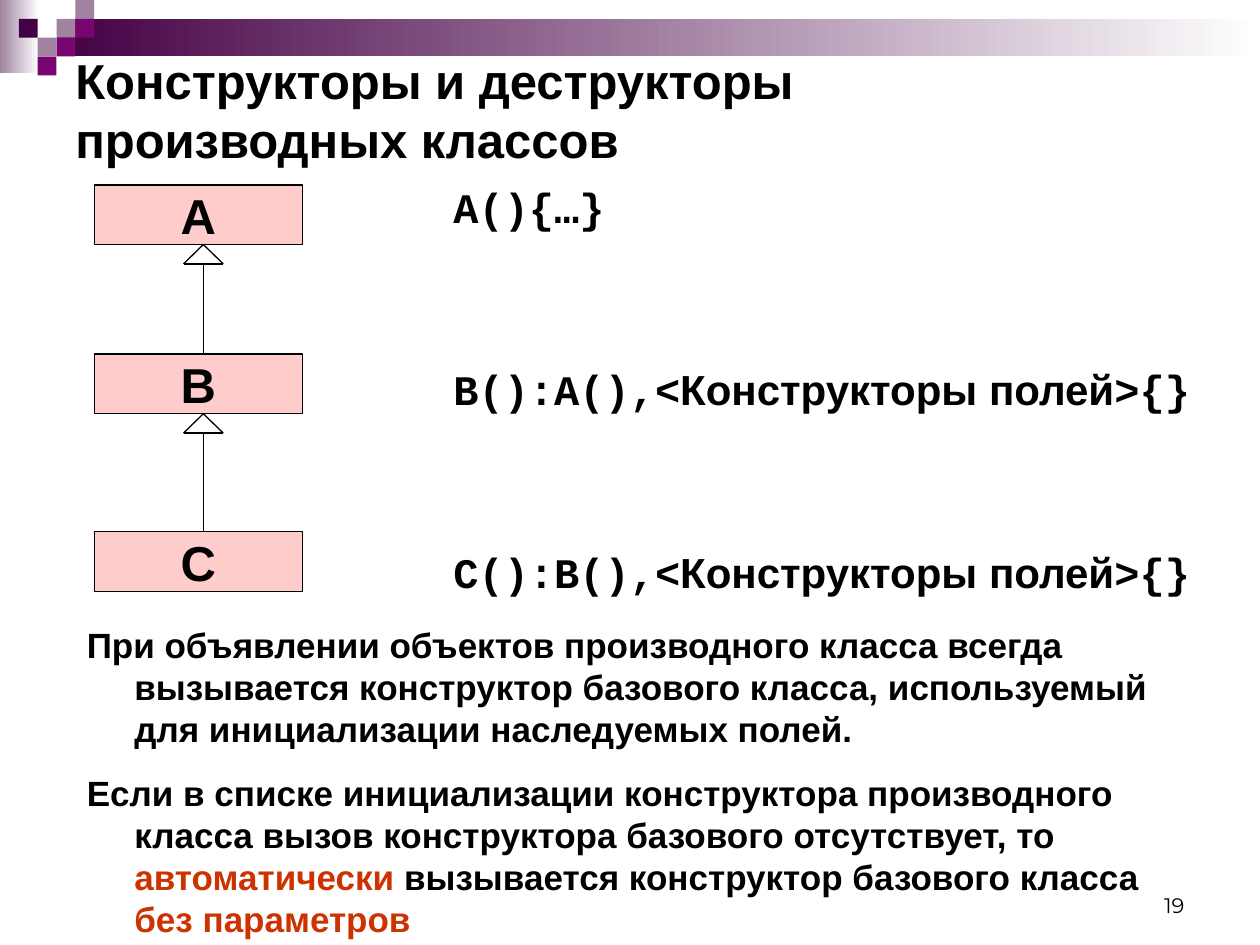
from lxml.etree import SubElement
from pptx import Presentation
from pptx.dml.color import RGBColor
from pptx.enum.shapes import MSO_CONNECTOR, MSO_SHAPE
from pptx.enum.text import MSO_ANCHOR, PP_ALIGN
from pptx.oxml.ns import qn
from pptx.util import Cm, Pt


class Theme:
    black = RGBColor(0, 0, 0)
    white = RGBColor(255, 255, 255)
    pink = RGBColor.from_string("FFCCCC")
    accent = RGBColor.from_string("CC3300")
    dark = RGBColor.from_string("440044")
    plum = RGBColor.from_string("790571")
    mauve = RGBColor.from_string("9F839F")
    sans, mono, number = "Arial", "Courier New", "Montserrat"
    heading, code, body, small = 28, 24, 20, 12
    line = Pt(0.75)


def write(p, runs, size, bold=True, **fmt):
    p.line_spacing = Pt(size * 1.2)
    for name, value in fmt.items():
        setattr(p, name, value)
    for text, face, color in runs:
        r = p.add_run()
        r.text = text
        look = {"name": face, "size": Pt(size), "bold": bold}
        for name, value in look.items():
            setattr(r.font, name, value)
        r.font.color.rgb = color


def add_box(left, top, width, height, anchor=MSO_ANCHOR.TOP):
    box = s.shapes.add_textbox(Cm(left), Cm(top), Cm(width), Cm(height))
    box.text_frame.word_wrap = True
    box.text_frame.vertical_anchor = anchor
    return box.text_frame


prs = Presentation()
prs.slide_width, prs.slide_height = Cm(25.4), Cm(19.05)
s = prs.slides.add_slide(prs.slide_layouts[6])

bands = [(0, 0, 0.78, 1.47, Theme.mauve), (1.14, 0.38, 24.26, 0.76, Theme.dark)]
for left, top, width, height, color in bands:
    sp = s.shapes.add_shape(MSO_SHAPE.RECTANGLE, Cm(left), Cm(top), Cm(width), Cm(height))
    sp.shadow.inherit = False
    sp.line.fill.background()
    sp.fill.gradient()
    sp.fill.gradient_angle = 0
    for stop, shade in zip(sp.fill.gradient_stops, (color, Theme.white)):
        stop.color.rgb = shade

tile = 0.38
tiles = [
    (3, 1, Theme.mauve), (4, 0, Theme.mauve), (4, 1, Theme.plum),
    (2, 2, Theme.mauve), (1, 1, Theme.dark), (3, 2, Theme.plum), (2, 3, Theme.plum),
]
for col, row, color in tiles:
    sp = s.shapes.add_shape(
        MSO_SHAPE.RECTANGLE, Cm(col * tile), Cm(row * tile), Cm(tile), Cm(tile)
    )
    sp.shadow.inherit = False
    sp.line.fill.background()
    sp.fill.solid()
    sp.fill.fore_color.rgb = color

tf = add_box(18.21, 17.35, 5.92, 1.27, MSO_ANCHOR.BOTTOM)
write(tf.paragraphs[0], [("19", Theme.number, Theme.black)], Theme.small,
      bold=False, alignment=PP_ALIGN.RIGHT)

tf = add_box(1.27, 0.91, 22.86, 2.59, MSO_ANCHOR.MIDDLE)
p = tf.paragraphs[0]
write(p, [("Конструкторы и деструкторы ", Theme.sans, Theme.black)], Theme.heading)
p.add_line_break()
write(p, [("производных классов", Theme.sans, Theme.black)], Theme.heading)

tf = add_box(8.89, 3.53, 15.6, 13.49)
write(tf.paragraphs[0], [("A(){…}", Theme.mono, Theme.black)], Theme.code, space_before=Pt(6))
for call in ("B():A(),<", "C():B(),<"):
    runs = [
        (call, Theme.mono, Theme.black),
        ("Конструкторы полей", Theme.sans, Theme.black),
        (">{}", Theme.mono, Theme.black),
    ]
    write(tf.add_paragraph(), runs, Theme.code, space_before=Pt(75.6))

box_left, box_width, box_height = 1.9, 4.2, 1.2
tops = {"A": 3.73, "B": 7.14, "C": 10.72}
for name, top in tops.items():
    sp = s.shapes.add_shape(
        MSO_SHAPE.RECTANGLE, Cm(box_left), Cm(top), Cm(box_width), Cm(box_height)
    )
    sp.shadow.inherit = False
    sp.fill.solid()
    sp.fill.fore_color.rgb = Theme.pink
    sp.line.color.rgb = Theme.black
    sp.line.width = Theme.line
    tf = sp.text_frame
    tf.word_wrap = False
    tf.vertical_anchor = MSO_ANCHOR.MIDDLE
    write(tf.paragraphs[0], [(name, Theme.sans, Theme.black)], Theme.heading,
          alignment=PP_ALIGN.CENTER)

axis, half, head = 4.1, 0.4, 0.39
for parent, child in (("A", "B"), ("B", "C")):
    tip = tops[parent] + box_height
    base = tip + head
    strokes = [
        (axis, tops[child], axis, base),
        (axis - half, base, axis + half, base),
        (axis, tip, axis - half, base),
        (axis, tip, axis + half, base),
    ]
    for ends in strokes:
        c = s.shapes.add_connector(MSO_CONNECTOR.STRAIGHT, *[Cm(v) for v in ends])
        c.line.color.rgb = Theme.black
        c.line.width = Theme.line
        SubElement(c._element.spPr, qn("a:effectLst"))

notes = [
    [("При объявлении объектов производного класса всегда вызывается конструктор "
      "базового класса, используемый для инициализации наследуемых полей.", Theme.black)],
    [("Если в списке инициализации конструктора производного класса вызов "
      "конструктора базового отсутствует, то ", Theme.black),
     ("автоматически", Theme.accent),
     (" вызывается конструктор базового класса ", Theme.black),
     ("без параметров", Theme.accent)],
]
tf = add_box(1.5, 12.45, 23.01, 6.63)
for i, note in enumerate(notes):
    p = tf.add_paragraph() if i else tf.paragraphs[0]
    write(p, [(text, Theme.sans, color) for text, color in note], Theme.body,
          space_before=Pt(12.5))
    pPr = p._p.get_or_add_pPr()
    for name, value in {"marL": Cm(0.96), "indent": Cm(-0.96)}.items():
        pPr.set(name, str(int(value)))

prs.save("out.pptx")
